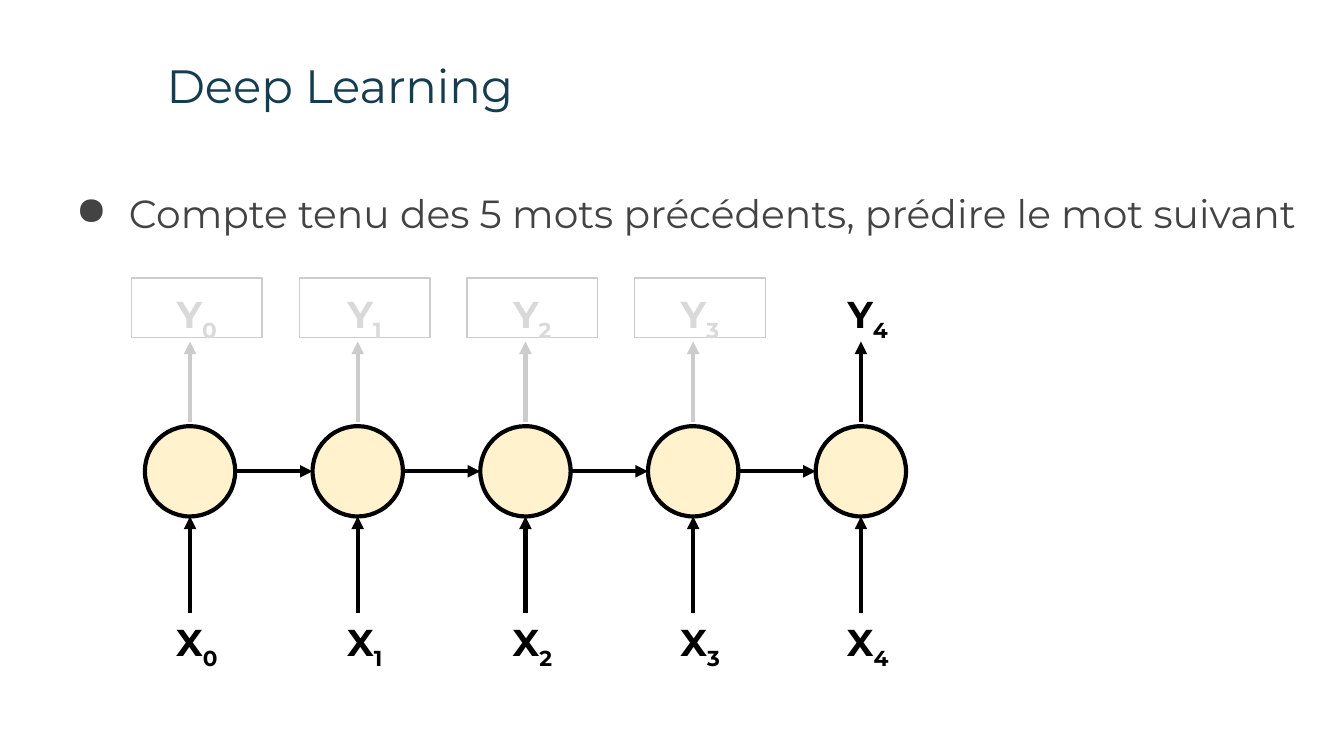
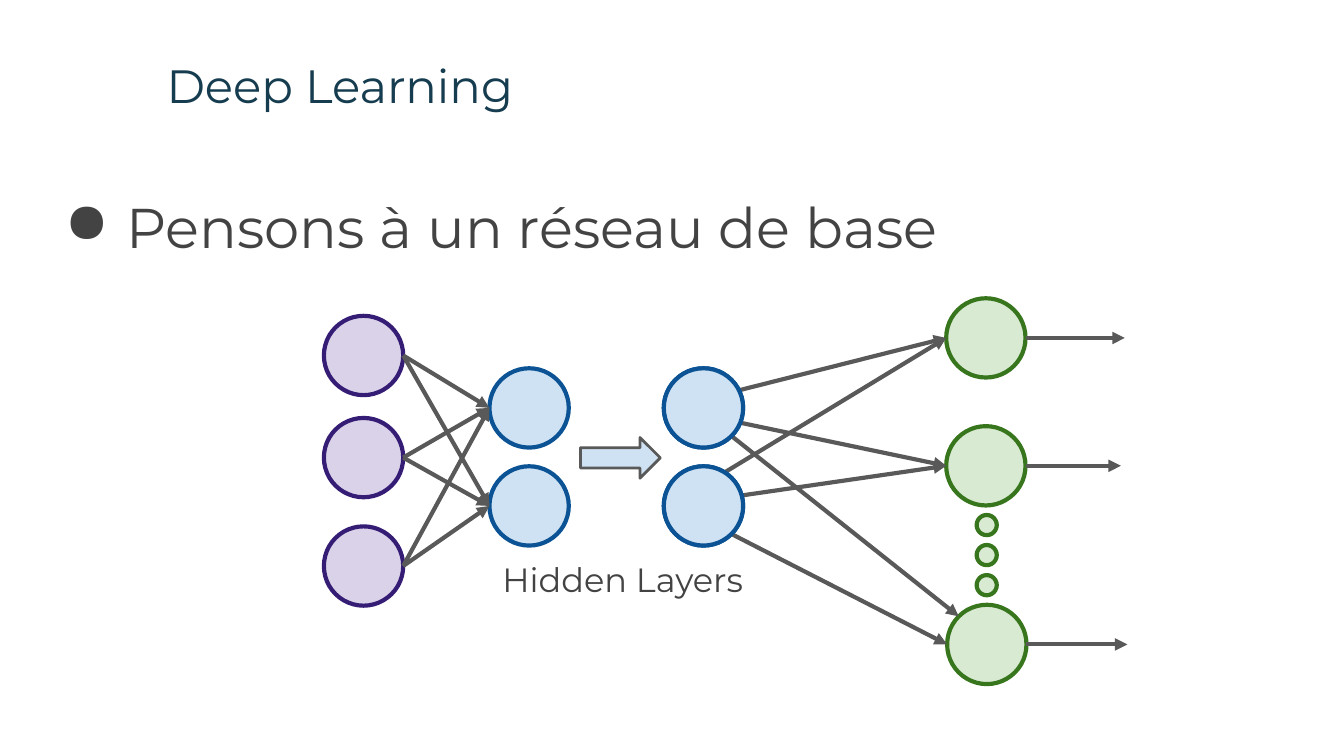
from dataclasses import dataclass
from math import cos, radians, sin

from lxml import etree
from pptx import Presentation
from pptx.dml.color import RGBColor
from pptx.enum.shapes import MSO_CONNECTOR, MSO_SHAPE
from pptx.enum.text import MSO_ANCHOR, MSO_AUTO_SIZE, PP_ALIGN
from pptx.oxml.ns import qn
from pptx.util import Pt

OVAL, RECTANGLE, RIGHT_ARROW = MSO_SHAPE.OVAL, MSO_SHAPE.RECTANGLE, MSO_SHAPE.RIGHT_ARROW
STRAIGHT = MSO_CONNECTOR.STRAIGHT
TOP, NO_FIT = MSO_ANCHOR.TOP, MSO_AUTO_SIZE.NONE
LEFT, CENTER = PP_ALIGN.LEFT, PP_ALIGN.CENTER


@dataclass(frozen=True)
class Theme:
    font: str = "Montserrat"
    title: str = "153C4F"
    body: str = "434343"
    ink: str = "000000"
    muted_line: str = "CCCCCC"
    muted_text: str = "D9D9D9"
    edge: str = "595959"
    cell: tuple = ("FFF2CC", "000000")
    input: tuple = ("D9D2E9", "351C75")
    hidden: tuple = ("CFE2F3", "0B5394")
    output: tuple = ("D9EAD3", "38761D")
    title_size: int = 25
    label_size: int = 20
    caption_size: int = 18
    stroke: float = 2.25
    inset: float = 7.2


THEME = Theme()

# Content; boxes are (left, top, width, height)
TITLE = "Deep Learning"
TITLE_BOX = (82, 23, 613.4, 45.4)

SEQUENCE_BULLET = "Compte tenu des 5 mots précédents, prédire le mot suivant"
STEPS = 5
FIRST_STEP_X, STEP_GAP = 101.8, 89.85
CELL_Y, CELL_SIZE = 252.5, 48.4
LABEL_SIZE, LABEL_SHIFT = (70, 31.8), 3.7
Y_TOP, X_TOP = 149, 324.7
Y_ARROW = (226, 183)
X_ARROW_START = 328.5

NETWORK_BULLET = "Pensons à un réseau de base"
NODE_SIZE, DOT_SIZE = 42.5, 10.8
INPUTS = [(173.5, 169.2), (173.5, 223.9), (173.5, 282)]
HIDDEN_TOPS = (197.3, 249.8)
FIRST_HIDDEN_LEFT, LAST_HIDDEN_LEFT = 262.2, 355.6
OUTPUTS = [(506.9, 159.8), (506.9, 228.3), (507.4, 324)]
OUTPUT_ARROW_ENDS = (602.6, 600.5, 604)
DOT_LEFT, DOT_TOP, DOT_GAP, DOTS = 523.2, 275.9, 16.1, 3
LAYER_ARROW_BOX = (311, 234.4, 42.8, 21.8)
CAPTION, CAPTION_BOX = "Hidden Layers", (262, 292.4, 154, 42.5)


def rgb(color):
    return RGBColor.from_string(color)


def style(run, size, color, bold=False):
    font = run.font
    font.name, font.size, font.bold = THEME.font, Pt(size), bold
    font.color.rgb = rgb(color)


def set_frame(shape):
    frame = shape.text_frame
    frame.word_wrap, frame.auto_size, frame.vertical_anchor = True, NO_FIT, TOP
    frame.margin_left = frame.margin_right = Pt(THEME.inset)
    frame.margin_top = frame.margin_bottom = Pt(THEME.inset)
    return frame


def write(shape, text, size, color, align=LEFT, bold=False):
    frame = set_frame(shape)
    frame.text = text
    paragraph = frame.paragraphs[0]
    paragraph.alignment = align
    style(paragraph.runs[0], size, color, bold)
    return paragraph


def add_text_box(slide, box):
    return slide.shapes.add_textbox(*map(Pt, box))


def add_outlined(slide, kind, box, fill, line, width=THEME.stroke):
    shape = slide.shapes.add_shape(kind, *map(Pt, box))
    shape.shadow.inherit = False
    if fill:
        shape.fill.solid()
        shape.fill.fore_color.rgb = rgb(fill)
    else:
        shape.fill.background()
    shape.line.color.rgb = rgb(line)
    shape.line.width = Pt(width)
    return shape


def add_circle(slide, left, top, size, colors):
    return add_outlined(slide, OVAL, (left, top, size, size), *colors)


def add_arrow(slide, start, end, color):
    arrow = slide.shapes.add_connector(STRAIGHT, *map(Pt, (*start, *end)))
    arrow.line.color.rgb = rgb(color)
    arrow.line.width = Pt(THEME.stroke)
    etree.SubElement(arrow.line._get_or_add_ln(), qn("a:tailEnd"), type="triangle")
    etree.SubElement(arrow._element.spPr, qn("a:effectLst"))


def rim(circle, degrees):
    """Point on a circle's edge, with angles running clockwise from the right."""
    radius = circle.width.pt / 2
    return (circle.left.pt + radius * (1 + cos(radians(degrees))),
            circle.top.pt + radius * (1 + sin(radians(degrees))))


def add_bullet(slide, text, box, size, hang):
    paragraph = write(add_text_box(slide, box), text, size, THEME.body)
    paragraph.line_spacing = 1.15
    properties = paragraph._p.get_or_add_pPr()
    properties.set("marL", str(Pt(36)))
    properties.set("indent", str(-Pt(hang)))
    color = etree.SubElement(properties, qn("a:buClr"))
    etree.SubElement(color, qn("a:srgbClr"), val=THEME.body)
    etree.SubElement(properties, qn("a:buChar"), char="●")


def add_titled_slide(deck):
    slide = deck.slides.add_slide(deck.slide_layouts[5])
    title = slide.shapes.title
    title.left, title.top, title.width, title.height = map(Pt, TITLE_BOX)
    write(title, TITLE, THEME.title_size, THEME.title)
    return slide


def add_indexed_label(shape, letter, index, color):
    paragraph = write(shape, letter, THEME.label_size, color, CENTER, bold=True)
    subscript = paragraph.add_run()
    subscript.text = str(index)
    style(subscript, THEME.label_size, color, bold=True)
    subscript._r.get_or_add_rPr().set("baseline", "-25000")


def build_sequence_slide(deck):
    slide = add_titled_slide(deck)
    add_bullet(slide, SEQUENCE_BULLET, (26, 90.7, 694, 55.4), 21, 28.5)
    previous = None
    for step in range(STEPS):
        x = FIRST_STEP_X + step * STEP_GAP
        predicted = step == STEPS - 1
        cell = add_circle(slide, x - CELL_SIZE / 2, CELL_Y - CELL_SIZE / 2,
                          CELL_SIZE, THEME.cell)
        y_start, y_end = Y_ARROW
        add_arrow(slide, (x, y_start), (x, y_end),
                  THEME.ink if predicted else THEME.muted_line)
        add_arrow(slide, (x, X_ARROW_START), rim(cell, 90), THEME.ink)

        label_left = x + LABEL_SHIFT - LABEL_SIZE[0] / 2
        y_box = (label_left, Y_TOP, *LABEL_SIZE)
        if predicted:
            y_label = add_text_box(slide, y_box)
        else:
            y_label = add_outlined(slide, RECTANGLE, y_box, None, THEME.muted_line, 0.75)
        add_indexed_label(y_label, "Y", step, THEME.ink if predicted else THEME.muted_text)
        x_label = add_text_box(slide, (label_left, X_TOP, *LABEL_SIZE))
        add_indexed_label(x_label, "X", step, THEME.ink)

        if previous:
            add_arrow(slide, rim(previous, 0), rim(cell, 180), THEME.ink)
        previous = cell


def build_network_slide(deck):
    slide = add_titled_slide(deck)
    add_bullet(slide, NETWORK_BULLET, (24.5, 90.7, 685.4, 82), 30, 33)

    outputs = [add_circle(slide, *place, NODE_SIZE, THEME.output) for place in OUTPUTS]
    for output, end_x in zip(outputs, OUTPUT_ARROW_ENDS):
        start = rim(output, 0)
        add_arrow(slide, start, (end_x, start[1]), THEME.edge)

    # Edges start under the last hidden layer, which is drawn over them
    upper, middle, lower = outputs
    for top, lower_angle in zip(HIDDEN_TOPS, (225, 180)):
        start = (LAST_HIDDEN_LEFT + 3, top + NODE_SIZE / 2)
        for output in (upper, middle):
            add_arrow(slide, start, rim(output, 180), THEME.edge)
        hidden = add_circle(slide, LAST_HIDDEN_LEFT, top, NODE_SIZE, THEME.hidden)
        add_arrow(slide, rim(hidden, 45), rim(lower, lower_angle), THEME.edge)
    for top in HIDDEN_TOPS:
        add_circle(slide, LAST_HIDDEN_LEFT, top, NODE_SIZE, THEME.hidden)

    inputs = [add_circle(slide, *place, NODE_SIZE, THEME.input) for place in INPUTS]
    first_hidden = [add_circle(slide, FIRST_HIDDEN_LEFT, top, NODE_SIZE, THEME.hidden)
                    for top in HIDDEN_TOPS]
    for source in inputs:
        for target in first_hidden:
            add_arrow(slide, rim(source, 0), rim(target, 180), THEME.edge)

    add_outlined(slide, RIGHT_ARROW, LAYER_ARROW_BOX, THEME.hidden[0], THEME.edge, 1.5)
    caption = write(add_text_box(slide, CAPTION_BOX), CAPTION, THEME.caption_size, THEME.body)
    caption.space_after = Pt(16)
    for dot in range(DOTS):
        add_circle(slide, DOT_LEFT, DOT_TOP + dot * DOT_GAP, DOT_SIZE, THEME.output)


def main():
    deck = Presentation()
    deck.slide_width, deck.slide_height = Pt(720), Pt(405)
    build_sequence_slide(deck)
    build_network_slide(deck)
    deck.save("out.pptx")


if __name__ == "__main__":
    main()
